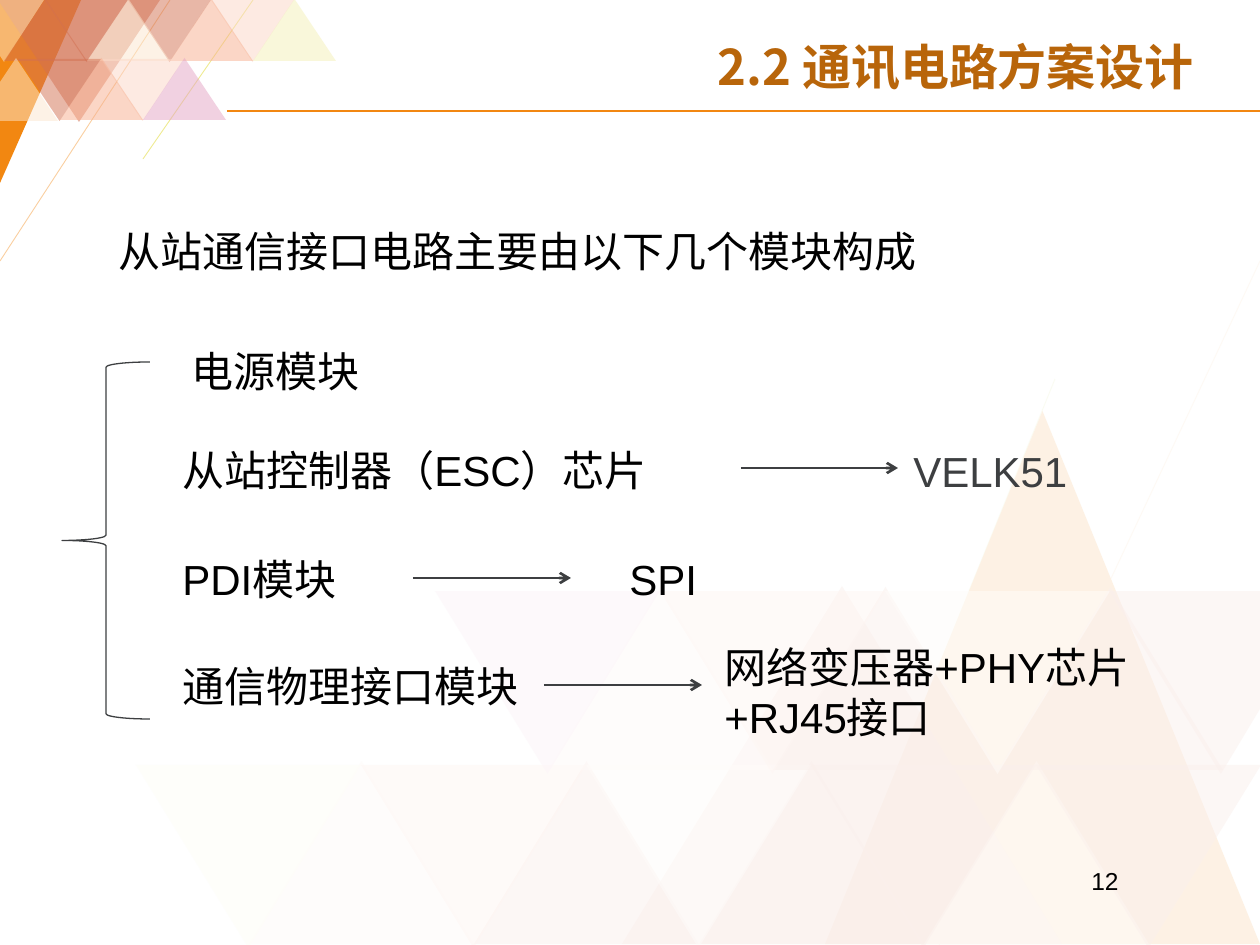
from dataclasses import dataclass

from lxml.etree import SubElement
from pptx import Presentation
from pptx.dml.color import RGBColor
from pptx.enum.shapes import MSO_CONNECTOR, MSO_SHAPE
from pptx.enum.text import MSO_ANCHOR, PP_ALIGN
from pptx.oxml.ns import qn
from pptx.util import Emu, Pt

SCALE = 914400 / 126  # EMU per px


@dataclass(frozen=True)
class Theme:
    orange: str = "F28711"
    rust: str = "D37051"
    salmon: str = "F8AF8F"
    blush: str = "FCD7C7"
    cream: str = "FCE7CF"
    lemon: str = "F4F1B6"
    pink: str = "E4A4C4"
    peach: str = "FACFA0"
    lime: str = "D6E388"
    yellow: str = "EFEB91"
    white: str = "FFFFFF"
    black: str = "000000"
    gray: str = "3D3F41"
    title: str = "B8650A"
    body_font: str = "Arial"
    title_font: str = "Noto Sans CJK SC"
    title_size: int = 28
    body_size: int = 24
    number_size: int = 14


T = Theme()


def px(n):
    return Emu(round(n * SCALE))


def paint(sp, color, opacity=100):
    sp.shadow.inherit = False
    sp.fill.solid()
    sp.fill.fore_color.rgb = RGBColor.from_string(color)
    sp.line.fill.background()
    if opacity < 100:
        clr = sp.fill._xPr.find(".//" + qn("a:srgbClr"))
        SubElement(clr, qn("a:alpha"), val=str(opacity * 1000))


def add_filled(s, kind, x, y, w, h, color, opacity=100):
    sp = s.shapes.add_shape(kind, px(x), px(y), px(w), px(h))
    paint(sp, color, opacity)
    return sp


def add_triangle_row(s, x, y, w, h, colors, down=False):
    for i, color in enumerate(colors):
        sp = add_filled(s, MSO_SHAPE.ISOSCELES_TRIANGLE, x + i * w, y, w, h, color, 50)
        sp.rotation = 180 if down else 0


def add_polygon(s, points, color, opacity=100):
    builder = s.shapes.build_freeform(*points[0], scale=SCALE)
    builder.add_line_segments(points[1:], close=True)
    paint(builder.convert_to_shape(), color, opacity)


def add_line(s, x1, y1, x2, y2, color, width, arrow=False):
    line = s.shapes.add_connector(MSO_CONNECTOR.STRAIGHT, px(x1), px(y1), px(x2), px(y2))
    line.line.color.rgb = RGBColor.from_string(color)
    line.line.width = Pt(width)
    if arrow:
        SubElement(line.line._get_or_add_ln(), qn("a:tailEnd"), type="arrow")
    SubElement(line._element.spPr, qn("a:effectLst"))
    return line


def add_text(s, text, x, y, w, h, *, size=T.body_size, color=T.black, font=T.body_font,
             bold=False, align=PP_ALIGN.LEFT, anchor=MSO_ANCHOR.TOP, spacing=None, indent=0):
    box = s.shapes.add_textbox(px(x), px(y), px(w), px(h))
    tf = box.text_frame
    tf.word_wrap = True
    tf.vertical_anchor = anchor
    p = tf.paragraphs[0]
    p.alignment = align
    p.line_spacing = spacing
    if indent:
        p._p.get_or_add_pPr().set("marL", str(px(indent)))
    r = p.add_run()
    r.text = text
    r.font.size = Pt(size)
    r.font.name = font
    r.font.bold = bold
    r.font.color.rgb = RGBColor.from_string(color)
    SubElement(r._r.get_or_add_rPr(), qn("a:ea"), typeface=font)
    return box


def add_backdrop(s):
    # Large triangles, softened by a white veil
    add_line(s, 828, 939, 1055, 379, T.lime, 0.5)
    add_line(s, 939, 945, 1260, 261, T.peach, 0.5)
    add_filled(s, MSO_SHAPE.ISOSCELES_TRIANGLE, 825, 411, 435, 533, T.orange)
    add_triangle_row(s, 622, 586, 440, 358, [T.rust])
    w, h = 225, 183
    add_triangle_row(s, 249, 761, w, h, [T.blush, T.rust, T.rust, T.cream])
    add_triangle_row(s, 136, 765, w, h, [T.lemon, T.salmon, T.cream, T.rust, T.rust], down=True)
    add_triangle_row(s, 548, 587, w, h, [T.blush, T.rust, T.rust])
    add_triangle_row(s, 435, 591, w, h, [T.pink, T.salmon, T.cream], down=True)
    add_polygon(s, [(1109, 591), (1260, 591), (1260, 709), (1221, 774)], T.rust, 50)
    add_filled(s, MSO_SHAPE.RECTANGLE, 38, 243, 1222, 702, T.white, 89)


def add_corner(s):
    # Triangle mosaic in the top left corner
    add_line(s, 253, 0, 143, 159, T.yellow, 0.5)
    add_line(s, 170, 0, 0, 261, T.peach, 0.5)
    add_polygon(s, [(0, 0), (81, 0), (0, 183)], T.orange)
    add_triangle_row(s, -2, 0, 162, 122, [T.rust], down=True)
    w, h = 83, 62
    add_triangle_row(s, 45, 0, w, h, [T.rust, T.rust, T.blush], down=True)
    add_polygon(s, [(0, 0), (44, 0), (4, 62), (0, 56)], T.cream, 50)
    add_triangle_row(s, 4, -1, w, h, [T.rust, T.cream, T.salmon, T.lemon])
    add_triangle_row(s, 18, 59, w, h, [T.rust, T.blush], down=True)
    add_triangle_row(s, 60, 58, w, h, [T.salmon, T.pink])
    add_polygon(s, [(16, 58), (58, 121), (0, 121), (0, 82)], T.cream, 50)


def add_brace(s, x, y, w, h):
    sp = s.shapes.add_shape(MSO_SHAPE.LEFT_BRACE, px(x), px(y), px(w), px(h))
    sp.shadow.inherit = False
    sp.adjustments[0] = 0.06
    sp.fill.background()
    sp.line.color.rgb = RGBColor.from_string(T.gray)
    sp.line.width = Pt(0.75)


def main():
    prs = Presentation()
    prs.slide_width, prs.slide_height = px(1260), px(945)
    s = prs.slides.add_slide(prs.slide_layouts[6])

    add_backdrop(s)
    add_corner(s)

    # Title, rule and page number
    add_line(s, 227, 111, 1260, 111, T.orange, 1)
    add_text(s, "2.2 通讯电路方案设计", 219, 29, 987, 82, size=T.title_size, color=T.title,
             font=T.title_font, bold=True, align=PP_ALIGN.RIGHT,
             anchor=MSO_ANCHOR.MIDDLE, spacing=0.9)
    add_text(s, "12", 1079, 860, 176, 66, size=T.number_size)

    # Modules
    add_text(s, "从站通信接口电路主要由以下几个模块构成", 106, 219, 848, 63)
    add_brace(s, 62, 362, 88, 357)
    add_text(s, "电源模块", 179, 339, 625, 63)
    add_text(s, "从站控制器（ESC）芯片", 170, 438, 541, 63)
    add_text(s, "PDI模块", 170, 547, 501, 63)
    physical = add_text(s, "通信物理接口模块", 170, 654, 374, 62)

    # Arrows to the chosen solutions
    add_line(s, 741, 468, 898, 468, T.gray, 1.5, arrow=True)
    add_line(s, 413, 578, 571, 578, T.gray, 1.5, arrow=True)
    link = add_line(s, 544, 685, 702, 685, T.gray, 1.5, arrow=True)
    link.begin_connect(physical, 3)
    add_text(s, "VELK51", 775, 439, 431, 63, color=T.gray, indent=126)
    add_text(s, "SPI", 617, 547, 501, 63)
    add_text(s, "网络变压器+PHY芯片+RJ45接口", 712, 635, 433, 113)

    prs.save("out.pptx")


if __name__ == "__main__":
    main()
